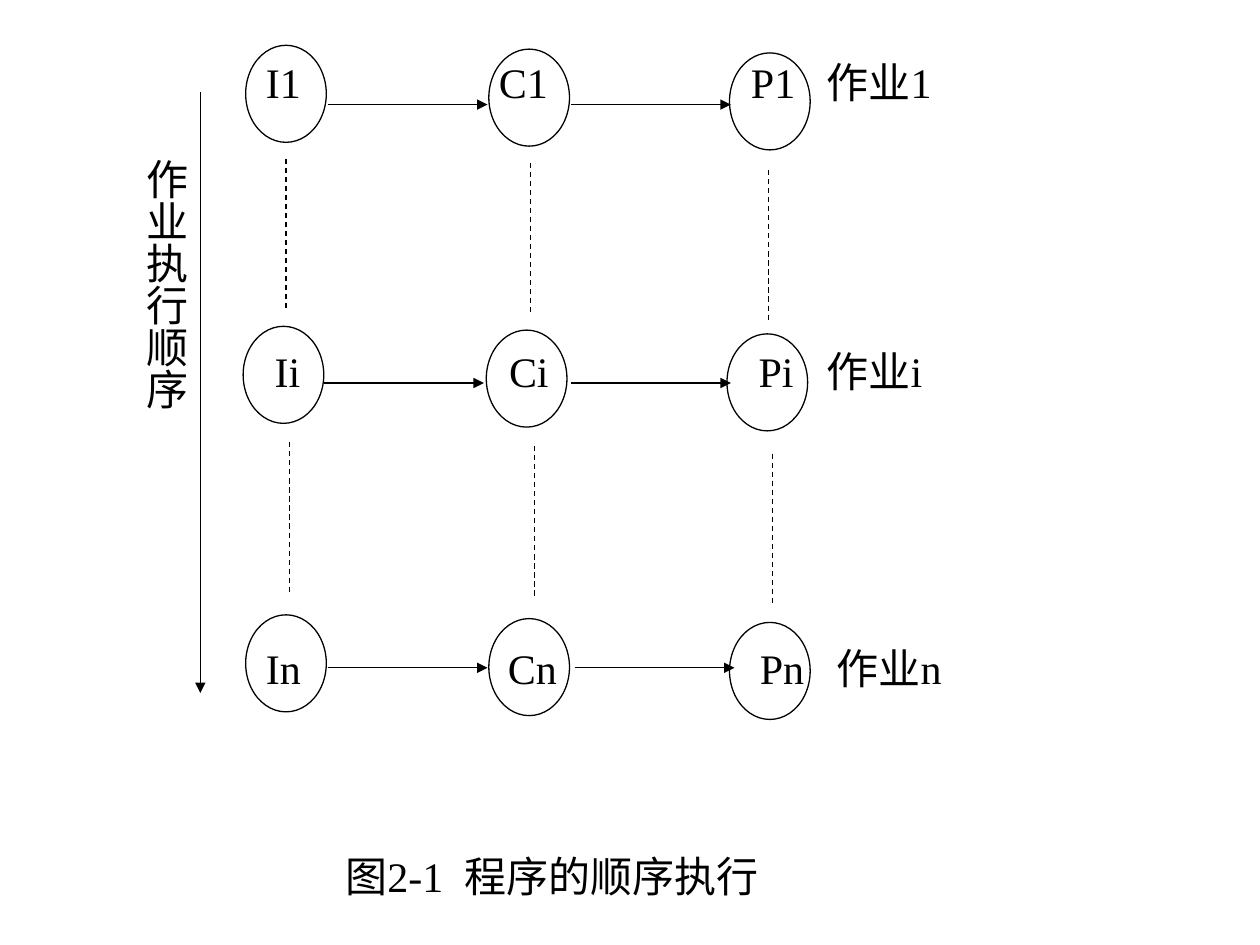
from lxml import etree
from pptx import Presentation
from pptx.dml.color import RGBColor
from pptx.enum.dml import MSO_LINE
from pptx.enum.shapes import MSO_CONNECTOR, MSO_SHAPE
from pptx.enum.text import MSO_ANCHOR, MSO_AUTO_SIZE, PP_ALIGN
from pptx.oxml.ns import qn
from pptx.util import Inches, Pt

BLACK = RGBColor(0, 0, 0)
WHITE = RGBColor(255, 255, 255)
STRAIGHT = MSO_CONNECTOR.STRAIGHT
ELLIPSE = MSO_SHAPE.OVAL
DASH = MSO_LINE.DASH
CENTER = PP_ALIGN.CENTER
TOP, MIDDLE = MSO_ANCHOR.TOP, MSO_ANCHOR.MIDDLE
NO_AUTOFIT = MSO_AUTO_SIZE.NONE

FONT_FORMAT = {"name": "Times New Roman", "size": Pt(24), "bold": False}
LINE_WIDTH = Pt(0.74)
NODE_WIDTH, NODE_HEIGHT = 0.64, 0.77
NODE_OFFSETS = [(0, 0), (1.93, 0.03), (3.84, 0.06)]
DASH_OFFSETS = [(0, 0), (1.94, 0.03), (3.83, 0.09)]
ARROW_LENGTH, DASH_LENGTH = 1.27, 1.21

# Each row: node origin, text origin, tab stops, arrow starts and arrow height
ROWS = [
    {"job": "1", "nodes": (1.95, 0.36), "text": (2.09, 0.44),
     "tabs": (1.85, 3.85, 4.45), "arrows": (2.6, 4.53), "arrow_top": 0.83},
    {"job": "i", "nodes": (1.93, 2.59), "text": (2.16, 2.73),
     "tabs": (1.86, 3.84, 4.38), "arrows": (2.57, 4.53), "arrow_top": 3.04},
    {"job": "n", "nodes": (1.95, 4.88), "text": (2.09, 5.09),
     "tabs": (1.92, 3.92, 4.53), "arrows": (2.6, 4.56), "arrow_top": 5.3},
]
DASH_ORIGINS = [(2.27, 1.26), (2.3, 3.51)]


def write_text(shape, text, anchor=TOP, alignment=None, margins=(0, 0)):
    """Fill a shape with one formatted paragraph and return the paragraph."""
    frame = shape.text_frame
    horizontal, vertical = map(Inches, margins)
    frame_format = {
        "word_wrap": True, "auto_size": NO_AUTOFIT, "vertical_anchor": anchor,
        "margin_left": horizontal, "margin_right": horizontal,
        "margin_top": vertical, "margin_bottom": vertical,
    }
    for name, value in frame_format.items():
        setattr(frame, name, value)
    paragraph = frame.paragraphs[0]
    paragraph.alignment = alignment
    run = paragraph.add_run()
    run.text = text
    for name, value in FONT_FORMAT.items():
        setattr(run.font, name, value)
    run.font.color.rgb = BLACK
    return paragraph


def add_line(slide, left, top, width, height, arrow=False):
    """Draw a solid arrow or a dashed line across the given box."""
    connector = slide.shapes.add_connector(
        STRAIGHT, Inches(left), Inches(top),
        Inches(left + width), Inches(top + height))
    connector.line.color.rgb = BLACK
    connector.line.width = LINE_WIDTH
    if arrow:
        line = connector.line._get_or_add_ln()
        etree.SubElement(line, qn("a:tailEnd"), type="triangle")
    else:
        connector.line.dash_style = DASH
    etree.SubElement(connector._element.spPr, qn("a:effectLst"))


def add_row_text(slide, left, top, job, tabs):
    """Write the node names and the job label of a row on tab stops."""
    box = slide.shapes.add_textbox(
        Inches(left), Inches(top), Inches(7.55), Inches(1.05))
    text = "\t".join([f"I{job}", f"C{job}", f"P{job}", f"作业{job}"])
    paragraph = write_text(box, text, margins=(0.02, 0.01))
    tab_list = etree.SubElement(
        paragraph._p.get_or_add_pPr(), qn("a:tabLst"))
    for tab in tabs:
        etree.SubElement(tab_list, qn("a:tab"), pos=str(Inches(tab)), algn="l")


def add_nodes(slide, left, top):
    """Draw the three ellipses of a row from its top left corner."""
    for across, down in NODE_OFFSETS:
        node = slide.shapes.add_shape(
            ELLIPSE, Inches(left + across), Inches(top + down),
            Inches(NODE_WIDTH), Inches(NODE_HEIGHT))
        node.shadow.inherit = False
        node.fill.background()
        node.line.color.rgb = BLACK
        node.line.width = LINE_WIDTH


def add_job_row(slide, row):
    """Build one job: its text, ellipses and the arrows between them."""
    add_row_text(slide, *row["text"], row["job"], row["tabs"])
    for left in row["arrows"]:
        add_line(slide, left, row["arrow_top"], ARROW_LENGTH, 0, arrow=True)
    add_nodes(slide, *row["nodes"])


def add_dashes(slide, left, top):
    """Draw the dashed lines that link two rows."""
    for across, down in DASH_OFFSETS:
        add_line(slide, left + across, top + down, 0, DASH_LENGTH)


def add_order_axis(slide, left, top, height):
    """Draw the execution order arrow with its vertical label."""
    add_line(slide, left, top, 0, height, arrow=True)
    box = slide.shapes.add_textbox(
        Inches(left - 1.08), Inches(top + 0.53), Inches(1.01), Inches(4.78))
    write_text(box, "作业执行顺序", alignment=CENTER)
    box.text_frame._txBody.bodyPr.set("vert", "eaVert")


def add_caption(slide, left, top, width, height):
    """Place the figure caption in the title placeholder."""
    caption = slide.shapes.title
    box = {"left": left, "top": top, "width": width, "height": height}
    for name, value in box.items():
        setattr(caption, name, Inches(value))
    write_text(caption, "图2-1\u2002程序的顺序执行", MIDDLE, CENTER)


def main():
    """Build and save the slide."""
    presentation = Presentation()
    presentation.slide_width = Inches(10)
    presentation.slide_height = Inches(7.5)
    slide = presentation.slides.add_slide(presentation.slide_layouts[5])
    slide.background.fill.solid()
    slide.background.fill.fore_color.rgb = WHITE
    for row in ROWS:
        add_job_row(slide, row)
    for left, top in DASH_ORIGINS:
        add_dashes(slide, left, top)
    add_order_axis(slide, 1.59, 0.73, 4.77)
    add_caption(slide, 2.56, 6.7, 3.64, 0.5)
    presentation.save("out.pptx")


main()
